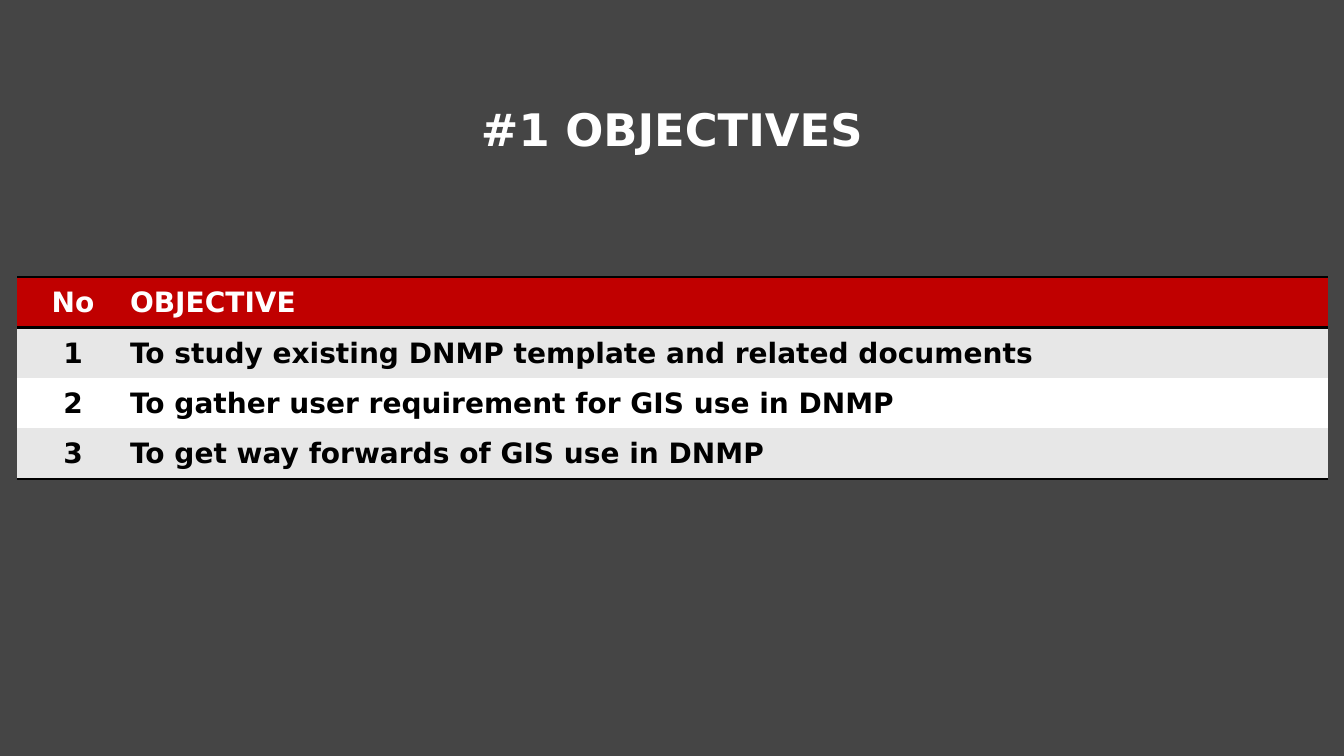
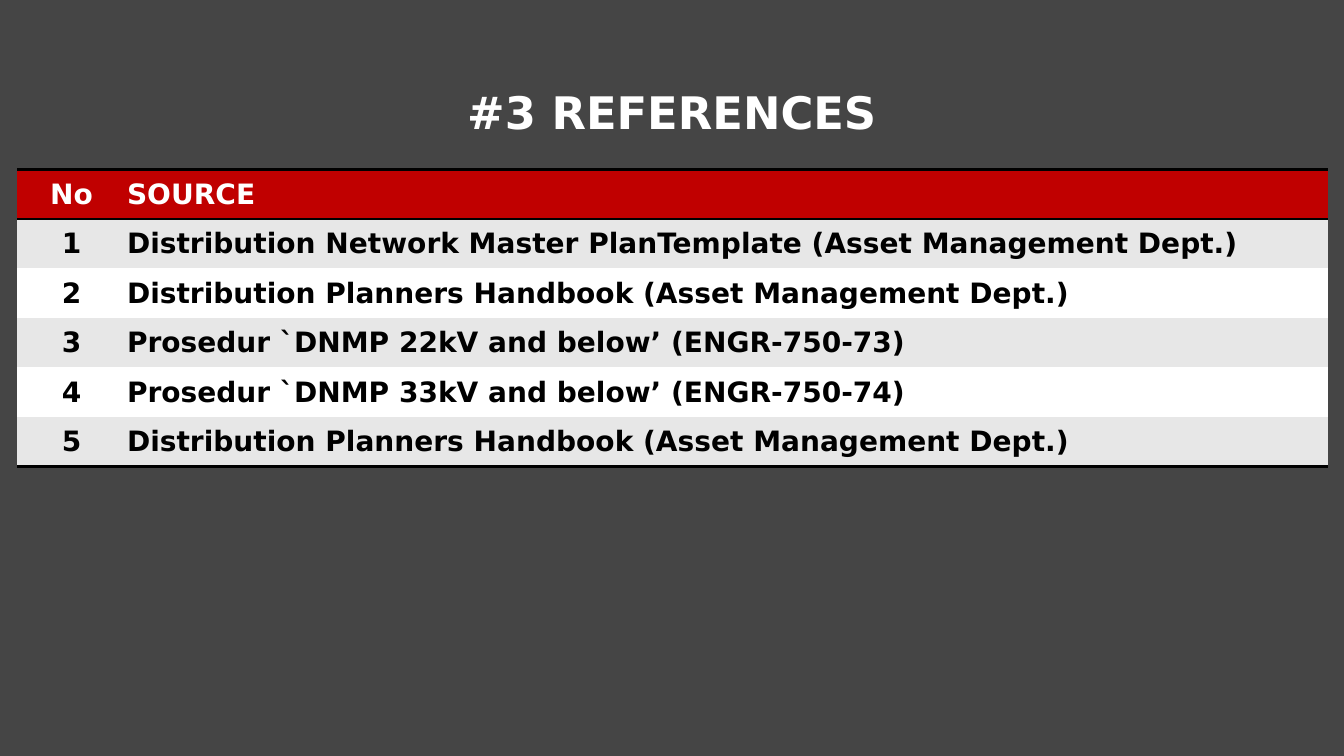
from dataclasses import dataclass

from pptx import Presentation
from pptx import util as u
from pptx.dml.color import RGBColor
from pptx.enum import text
from pptx.oxml import ns, xmlchemy


@dataclass(frozen=True)
class Theme:
    background: str = "454545"
    header: str = "C00000"
    odd_row: str = "E7E7E7"
    even_row: str = "FFFFFF"
    light_text: str = "FFFFFF"
    dark_text: str = "000000"
    rule: str = "000000"
    rule_width: float = 2
    font: str = "DejaVu Sans"
    title_size: int = 32
    table_size: int = 20


theme = Theme()
NO_STYLE_NO_GRID = "{2D5ABB26-0587-4C30-8999-92F81FD0307C}"


def write(frame, words, *, size, color, align, spacing=None):
    """Put one bold paragraph, centred vertically, into a text frame or cell."""
    frame.vertical_anchor = text.MSO_ANCHOR.MIDDLE
    para = getattr(frame, "text_frame", frame).paragraphs[0]
    para.alignment = align
    para.line_spacing = spacing
    span = para.add_run()
    span.text = words
    span.font.name = theme.font
    span.font.size = u.Pt(size)
    span.font.bold = True
    span.font.color.rgb = RGBColor.from_string(color)


def set_borders(cell, ruled_sides):
    """Draw a rule on the named sides (T, B) and clear the others."""
    properties = cell._tc.get_or_add_tcPr()
    for side in "LRTB":
        line = xmlchemy.OxmlElement(f"a:ln{side}")
        properties.append(line)
        if side in ruled_sides:
            line.set("w", str(u.Pt(theme.rule_width)))
            fill = xmlchemy.OxmlElement("a:solidFill")
            color = xmlchemy.OxmlElement("a:srgbClr")
            color.set("val", theme.rule)
            fill.append(color)
            line.append(fill)
        else:
            line.append(xmlchemy.OxmlElement("a:noFill"))


# Content: title and its top, table top, height and number column, heading, entries
pages = [
    ("#1 OBJECTIVES", 1.01, 2.75, 2.0, 1.11, "OBJECTIVE", [
        "To study existing DNMP template and related documents",
        "To gather user requirement for GIS use in DNMP",
        "To get way forwards of GIS use in DNMP",
    ]),
    ("#3 REFERENCES", 0.84, 1.68, 2.95, 1.08, "SOURCE", [
        "Distribution Network Master PlanTemplate (Asset Management Dept.)",
        "Distribution Planners Handbook (Asset Management Dept.)",
        "Prosedur `DNMP 22kV and below’ (ENGR-750-73)",
        "Prosedur `DNMP 33kV and below’ (ENGR-750-74)",
        "Distribution Planners Handbook (Asset Management Dept.)",
    ]),
]

# Deck and shared background
deck = Presentation()
deck.slide_width, deck.slide_height = u.Inches(13.33), u.Inches(7.5)
backdrop = deck.slide_master.background.fill
backdrop.solid()
backdrop.fore_color.rgb = RGBColor.from_string(theme.background)
title_only = deck.slide_layouts[5]
table_width = 13

for title, title_top, table_top, table_height, number_width, heading, entries in pages:
    page = deck.slides.add_slide(title_only)

    # Title
    box = page.shapes.title
    box.left, box.top = u.Inches(0), u.Inches(title_top)
    box.width, box.height = deck.slide_width, u.Inches(0.6)
    write(box.text_frame, title, size=theme.title_size, color=theme.light_text,
          align=text.PP_ALIGN.CENTER, spacing=0.9)

    # Table grid
    rows = [("No", heading)] + [(str(n), entry) for n, entry in enumerate(entries, 1)]
    table = page.shapes.add_table(
        len(rows), 2, u.Inches(0.17), u.Inches(table_top),
        u.Inches(table_width), u.Inches(table_height)).table
    table._tbl.tblPr.find(ns.qn("a:tableStyleId")).text = NO_STYLE_NO_GRID
    table.horz_banding = False
    table.columns[0].width = u.Inches(number_width)
    table.columns[1].width = u.Inches(table_width - number_width)

    # Table cells: red header, alternating rows, rules around header and at the end
    for r, row in enumerate(rows):
        if r == 0:
            fill, color, ruled_sides = theme.header, theme.light_text, "TB"
        else:
            fill = theme.odd_row if r % 2 else theme.even_row
            color = theme.dark_text
            ruled_sides = ("T" if r == 1 else "") + ("B" if r == len(entries) else "")
        for c, words in enumerate(row):
            cell = table.cell(r, c)
            cell.margin_left = cell.margin_right = cell.margin_top = u.Inches(0.01)
            cell.margin_bottom = 0
            set_borders(cell, ruled_sides)
            cell.fill.solid()
            cell.fill.fore_color.rgb = RGBColor.from_string(fill)
            write(cell, words, size=theme.table_size, color=color,
                  align=text.PP_ALIGN.LEFT if c else text.PP_ALIGN.CENTER)

deck.save("out.pptx")
